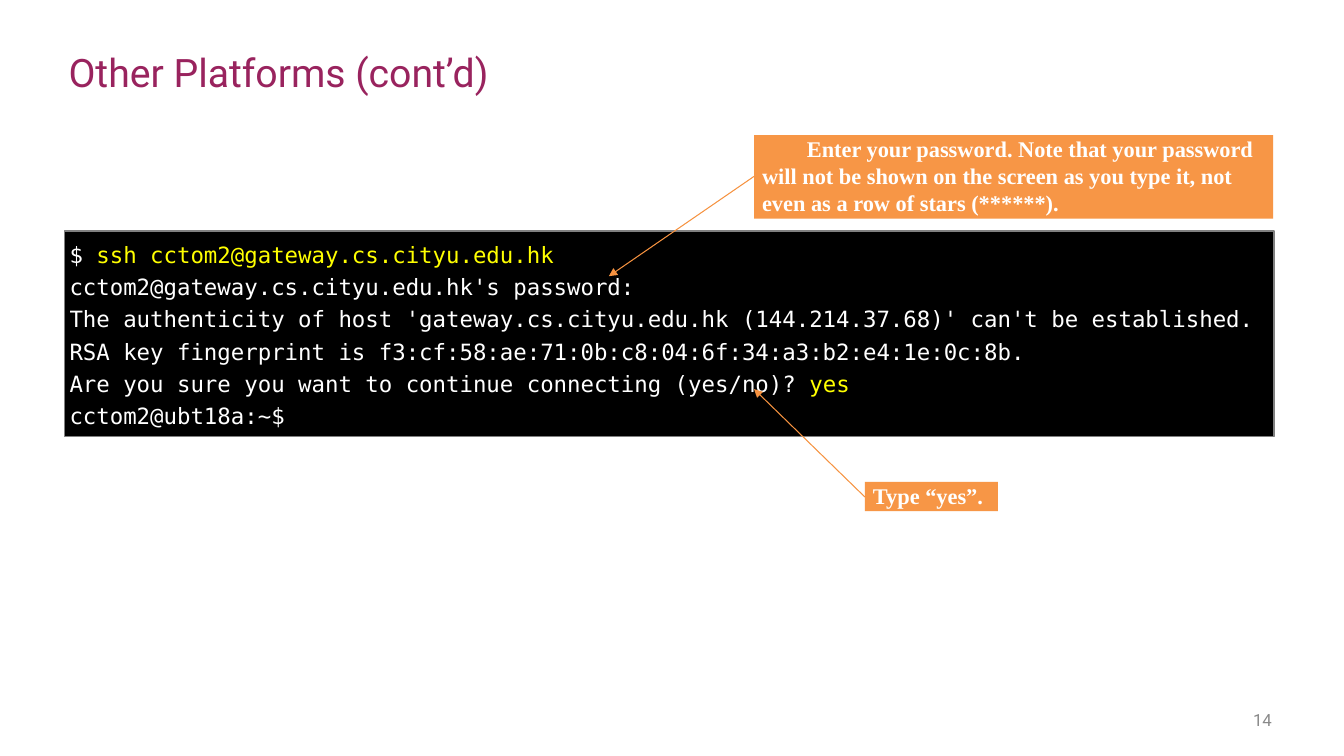
from dataclasses import dataclass
from typing import Optional

import pptx
import pptx.dml.color
import pptx.enum.shapes
import pptx.enum.text
import pptx.oxml
import pptx.oxml.ns
import pptx.util

Pt = pptx.util.Pt
Anchor = pptx.enum.text.MSO_ANCHOR
Align = pptx.enum.text.PP_ALIGN
AutoSize = pptx.enum.text.MSO_AUTO_SIZE


@dataclass(frozen=True)
class Theme:
    title: str = "99235E"
    page: str = "898989"
    terminal: str = "000000"
    border: str = "808080"
    output: str = "FFFFFF"
    typed: str = "FFFF00"
    callout: str = "F79646"
    arrow: str = "F69240"
    sans: str = "Roboto"
    mono: str = "DejaVu Sans Mono"
    serif: str = "Times New Roman"
    title_size: float = 28
    body_size: float = 16
    page_size: float = 12


THEME = Theme()


@dataclass(frozen=True)
class Box:
    left: float
    top: float
    width: float
    height: float


@dataclass(frozen=True)
class Style:
    font: str
    size: float
    color: str
    bold: bool = False


@dataclass(frozen=True)
class TextRun:
    text: str
    style: Style


@dataclass(frozen=True)
class Callout:
    box: Box
    text: str
    indent: float
    start: tuple[float, float]
    target: tuple[float, float]


TITLE = Style(THEME.sans, THEME.title_size, THEME.title)
PAGE = Style(THEME.sans, THEME.page_size, THEME.page)
OUTPUT = Style(THEME.mono, THEME.body_size, THEME.output)
TYPED = Style(THEME.mono, THEME.body_size, THEME.typed)
NOTE = Style(THEME.serif, THEME.body_size, THEME.output, True)

TERMINAL_LINES = [
    [TextRun("$ ", OUTPUT), TextRun("ssh cctom2@gateway.cs.cityu.edu.hk", TYPED)],
    [TextRun("cctom2@gateway.cs.cityu.edu.hk's password:", OUTPUT)],
    [TextRun("The authenticity of host 'gateway.cs.cityu.edu.hk (144.214.37.68)' can't be established.", OUTPUT)],
    [TextRun("RSA key fingerprint is f3:cf:58:ae:71:0b:c8:04:6f:34:a3:b2:e4:1e:0c:8b.", OUTPUT)],
    [TextRun("Are you sure you want to continue connecting (yes/no)? ", OUTPUT), TextRun("yes", TYPED)],
    [TextRun("cctom2@ubt18a:~$", OUTPUT)],
]

CALLOUTS = [
    Callout(
        Box(538.6, 96.5, 370.8, 59.8),
        "Enter your password. Note that your password will not be shown on the screen "
        "as you type it, not even as a row of stars (******).",
        32, (538.6, 126), (434.9, 197.3),
    ),
    Callout(Box(617.8, 344.2, 95, 20.9), "Type “yes”.", 0, (617.8, 355), (538.6, 277.9)),
]


def rgb(color: str) -> pptx.dml.color.RGBColor:
    return pptx.dml.color.RGBColor.from_string(color)


def write_lines(shape, lines: list[list[TextRun]], side: float, edge: float,
                anchor=Anchor.TOP, align=Align.LEFT, spacing: float = 1,
                indent: float = 0, wrap: bool = True, grow: bool = False) -> None:
    frame = shape.text_frame
    frame.margin_left = frame.margin_right = Pt(side)
    frame.margin_top = frame.margin_bottom = Pt(edge)
    frame.vertical_anchor = anchor
    frame.word_wrap = wrap
    frame.auto_size = AutoSize.SHAPE_TO_FIT_TEXT if grow else AutoSize.NONE
    for index, line in enumerate(lines):
        paragraph = frame.add_paragraph() if index else frame.paragraphs[0]
        paragraph.alignment = align
        paragraph.line_spacing = spacing
        if indent:
            paragraph._p.get_or_add_pPr().set("indent", str(Pt(indent)))
        for part in line:
            run = paragraph.add_run()
            run.text = part.text
            run.font.name = part.style.font
            run.font.size = Pt(part.style.size)
            run.font.bold = part.style.bold
            run.font.color.rgb = rgb(part.style.color)


def add_label(slide, box: Box, text: str, style: Style, **layout):
    shape = slide.shapes.add_textbox(Pt(box.left), Pt(box.top), Pt(box.width), Pt(box.height))
    write_lines(shape, [[TextRun(text, style)]], 3.6, 3.6, Anchor.MIDDLE, **layout)


def add_panel(slide, box: Box, fill: str, border: Optional[str] = None):
    shape = slide.shapes.add_shape(
        pptx.enum.shapes.MSO_SHAPE.RECTANGLE,
        Pt(box.left), Pt(box.top), Pt(box.width), Pt(box.height))
    shape.shadow.inherit = False
    shape.fill.solid()
    shape.fill.fore_color.rgb = rgb(fill)
    if border:
        shape.line.color.rgb = rgb(border)
        shape.line.width = Pt(1)
    else:
        shape.line.fill.background()
    return shape


def add_arrow(slide, start: tuple[float, float], target: tuple[float, float]) -> None:
    connector = slide.shapes.add_connector(
        pptx.enum.shapes.MSO_CONNECTOR.STRAIGHT, *map(Pt, start + target))
    connector.line.color.rgb = rgb(THEME.arrow)
    connector.line.width = Pt(0.75)
    head = pptx.oxml.parse_xml(f'<a:tailEnd {pptx.oxml.ns.nsdecls("a")} type="triangle"/>')
    connector.line._get_or_add_ln().append(head)
    effects = pptx.oxml.parse_xml(f'<a:effectLst {pptx.oxml.ns.nsdecls("a")}/>')
    connector._element.spPr.append(effects)


def add_callout(slide, callout: Callout) -> None:
    shape = add_panel(slide, callout.box, THEME.callout)
    write_lines(shape, [[TextRun(callout.text, NOTE)]], 5.76, 0, indent=callout.indent)
    add_arrow(slide, callout.start, callout.target)


def main() -> None:
    presentation = pptx.Presentation()
    presentation.slide_width, presentation.slide_height = Pt(960), Pt(540)
    slide = presentation.slides.add_slide(presentation.slide_layouts[6])
    add_label(slide, Box(45.4, 31, 864, 41), "Other Platforms (cont’d)", TITLE)
    add_label(slide, Box(890.6, 504, 21.6, 20.9), "14", PAGE,
              align=Align.RIGHT, wrap=False, grow=True)
    terminal = add_panel(slide, Box(46.1, 164.9, 864, 146.9), THEME.terminal, THEME.border)
    write_lines(terminal, TERMINAL_LINES, 3.6, 3.6, spacing=1.2, grow=True)
    for callout in CALLOUTS:
        add_callout(slide, callout)
    presentation.save("out.pptx")


if __name__ == "__main__":
    main()
